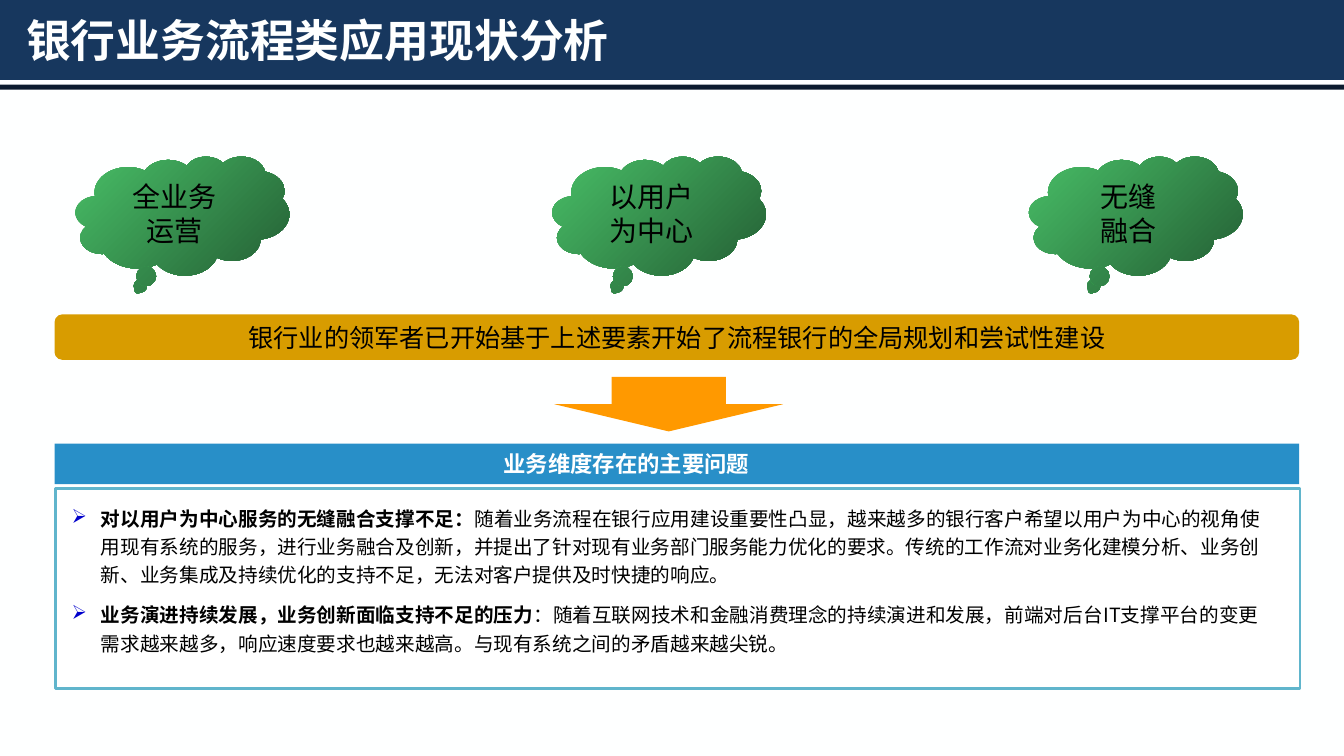
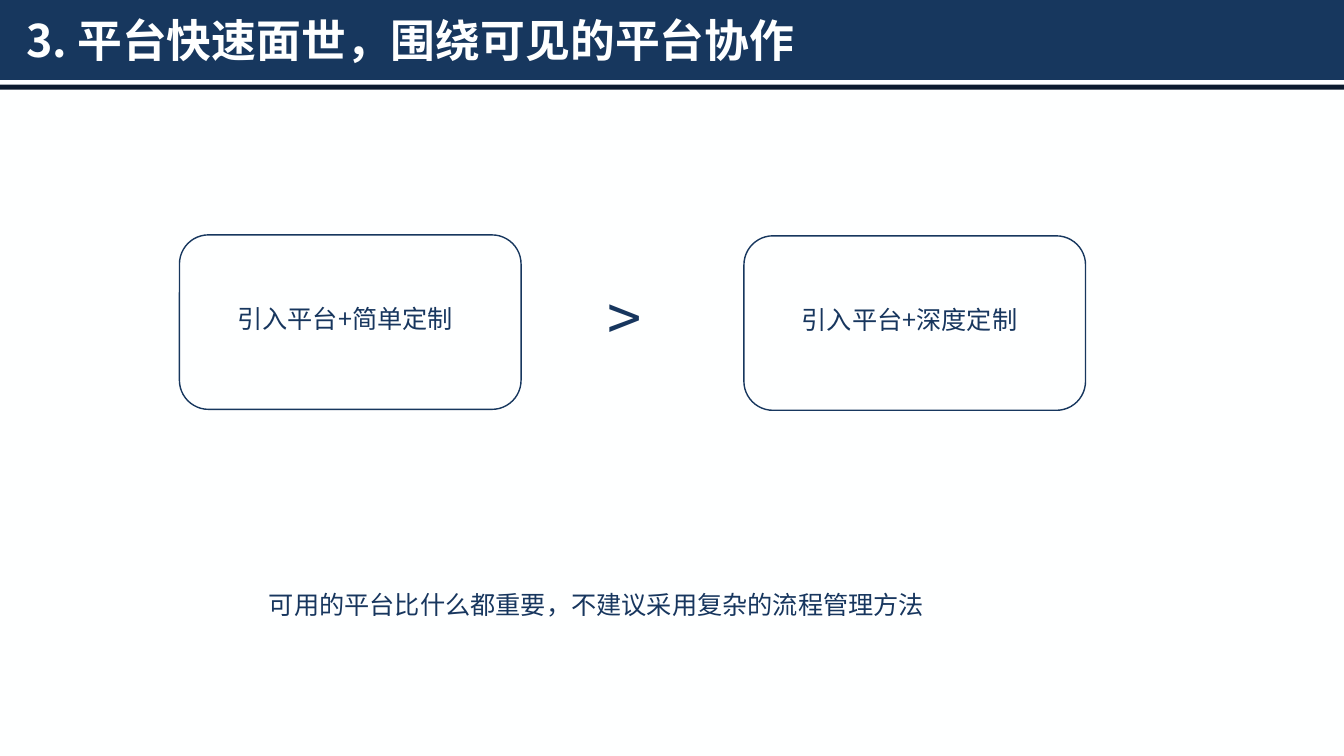
from lxml import etree
from pptx import Presentation
from pptx.dml.color import RGBColor
from pptx.enum import shapes, text
from pptx.oxml import ns
from pptx.util import Pt

COLORS = {
    "paper": "FEFFFF", "white": "FFFFFF", "black": "000000",
    "navy": "17375E", "rule": "0C1B2F", "ink": "17365E",
    "blue": "288FC8", "frame": "60B5CC", "bullet": "0000CC",
    "gold": "D89C00", "orange": "FF9900",
    "cloud_light": "48BE67", "cloud_dark": "245F34",
}
FONT = "Noto Sans CJK SC"
PAGE_WIDTH, PAGE_HEIGHT = 960, 540
LEFT, WIDTH = 39, 889
SHAPE = shapes.MSO_SHAPE
MIDDLE = text.MSO_ANCHOR.MIDDLE
CENTER = text.PP_ALIGN.CENTER

CLOUDS = [["全业务", "运营"], ["以用户", "为中心"], ["无缝", "融合"]]
PROBLEMS = [
    ("对以用户为中心服务的无缝融合支撑不足：",
     "随着业务流程在银行应用建设重要性凸显，越来越多的银行客户希望以用户为中心的视角使用现有系统的服务，"
     "进行业务融合及创新，并提出了针对现有业务部门服务能力优化的要求。传统的工作流对业务化建模分析、"
     "业务创新、业务集成及持续优化的支持不足，无法对客户提供及时快捷的响应。"),
    ("业务演进持续发展，业务创新面临支持不足的压力",
     "：随着互联网技术和金融消费理念的持续演进和发展，前端对后台IT支撑平台的变更需求越来越多，"
     "响应速度要求也越来越高。与现有系统之间的矛盾越来越尖锐。"),
]
OPTIONS = [("引入平台+简单定制", 128.2, 167.8), ("引入平台+深度定制", 531.4, 168.5)]


def rgb(name):
    return RGBColor.from_string(COLORS[name])


def set_all(target, **values):
    for name, value in values.items():
        setattr(target, name, value)


def add_span(para, words, size, color, bold=False):
    span = para.add_run()
    span.text = words
    set_all(span.font, size=Pt(size), bold=bold, name=FONT)
    span.font.color.rgb = rgb(color)
    etree.SubElement(span.font._element, ns.qn("a:ea"), typeface=FONT)


def write_lines(box, lines, size, color, bold=False, align=None, **frame_format):
    frame = box.text_frame
    set_all(frame, word_wrap=True, **frame_format)
    for index, words in enumerate(lines):
        para = frame.add_paragraph() if index else frame.paragraphs[0]
        para.alignment = align or text.PP_ALIGN.LEFT
        add_span(para, words, size, color, bold)


def add_box(page, kind, place, fill, line=None, line_width=1):
    box = page.shapes.add_shape(kind, *map(Pt, place))
    box.shadow.inherit = False
    if fill:
        box.fill.solid()
        box.fill.fore_color.rgb = rgb(fill)
    if line:
        box.line.color.rgb = rgb(line)
        box.line.width = Pt(line_width)
    else:
        box.line.fill.background()
    return box


def add_label(page, place, words, size, color="ink", **style):
    box = page.shapes.add_textbox(*map(Pt, place))
    write_lines(box, [words], size, color, **style)


def add_cloud(page, place, lines):
    cloud = add_box(page, SHAPE.CLOUD_CALLOUT, place, None)
    cloud.fill.gradient()
    cloud.fill.gradient_angle = 315
    for stop, color in zip(cloud.fill.gradient_stops, ("cloud_light", "cloud_dark")):
        stop.color.rgb = rgb(color)
    write_lines(cloud, lines, 20, "black", align=CENTER, vertical_anchor=MIDDLE)


def add_arrow_bullet(para, indent):
    properties = para._p.get_or_add_pPr()
    properties.set("marL", str(Pt(indent)))
    properties.set("indent", str(-Pt(indent)))
    color = etree.SubElement(properties, ns.qn("a:buClr"))
    etree.SubElement(color, ns.qn("a:srgbClr"), val=COLORS["bullet"])
    etree.SubElement(properties, ns.qn("a:buChar"), char="➢")


def add_problems(page, place):
    frame = page.shapes.add_textbox(*map(Pt, place)).text_frame
    inset = Pt(5.8)
    set_all(frame, word_wrap=True, margin_left=inset, margin_right=inset,
            margin_top=inset, margin_bottom=inset)
    for index, (heading, detail) in enumerate(PROBLEMS):
        para = frame.add_paragraph() if index else frame.paragraphs[0]
        para.line_spacing = 1.2
        if index:
            para.space_before = Pt(8.5)
        add_arrow_bullet(para, 20.9)
        add_span(para, heading, 14, "black", bold=True)
        add_span(para, detail, 14, "black")


def add_page(deck, title):
    """Add a page with the shared background, bands and title."""
    page = deck.slides.add_slide(deck.slide_layouts[6])
    page.background.fill.solid()
    page.background.fill.fore_color.rgb = rgb("paper")
    add_box(page, SHAPE.RECTANGLE, (0, 0, PAGE_WIDTH, 57), "navy")
    add_box(page, SHAPE.RECTANGLE, (0, 60.5, PAGE_WIDTH, 3.6), "rule")
    add_label(page, (11.5, 6.5, 937, 43), title, 32, "paper",
              bold=True, vertical_anchor=MIDDLE)
    return page


def build_analysis(deck):
    page = add_page(deck, "银行业务流程类应用现状分析")
    for index, lines in enumerate(CLOUDS):
        add_cloud(page, (54 + 340.5 * index, 111.6, 152.6, 85), lines)
    banner = add_box(page, SHAPE.ROUNDED_RECTANGLE, (LEFT, 224.6, WIDTH, 32.4), "gold")
    write_lines(banner, ["银行业的领军者已开始基于上述要素开始了流程银行的全局规划和尝试性建设"],
                18, "black", align=CENTER, vertical_anchor=MIDDLE)
    add_box(page, SHAPE.DOWN_ARROW, (396, 269.3, 163.4, 38.9), "orange")
    header = add_box(page, SHAPE.RECTANGLE, (LEFT, 316.8, WIDTH, 29), "blue")
    write_lines(header, ["业务维度存在的主要问题"], 16, "white", bold=True, align=CENTER,
                vertical_anchor=MIDDLE, margin_left=Pt(3.6), margin_right=Pt(75.6))
    add_box(page, SHAPE.RECTANGLE, (39.6, 349.2, WIDTH, 142.6), "white", "frame", 2)
    add_problems(page, (45.4, 352.8, 865.4, 123))


def build_comparison(deck):
    page = add_page(deck, "3. 平台快速面世，围绕可见的平台协作")
    for words, left, top in OPTIONS:
        add_box(page, SHAPE.ROUNDED_RECTANGLE, (left, top, 244, 124.6), "paper", "navy")
        add_label(page, (left + 34.2, top + 45.4, 173.5, 28.8), words, 18)
    add_label(page, (427, 196.6, 47.5, 60.5), ">", 44)
    add_label(page, (185, 417.6, 487.5, 28.8), "可用的平台比什么都重要，不建议采用复杂的流程管理方法", 18)


def main():
    deck = Presentation()
    set_all(deck, slide_width=Pt(PAGE_WIDTH), slide_height=Pt(PAGE_HEIGHT))
    build_analysis(deck)
    build_comparison(deck)
    deck.save("out.pptx")


if __name__ == "__main__":
    main()
